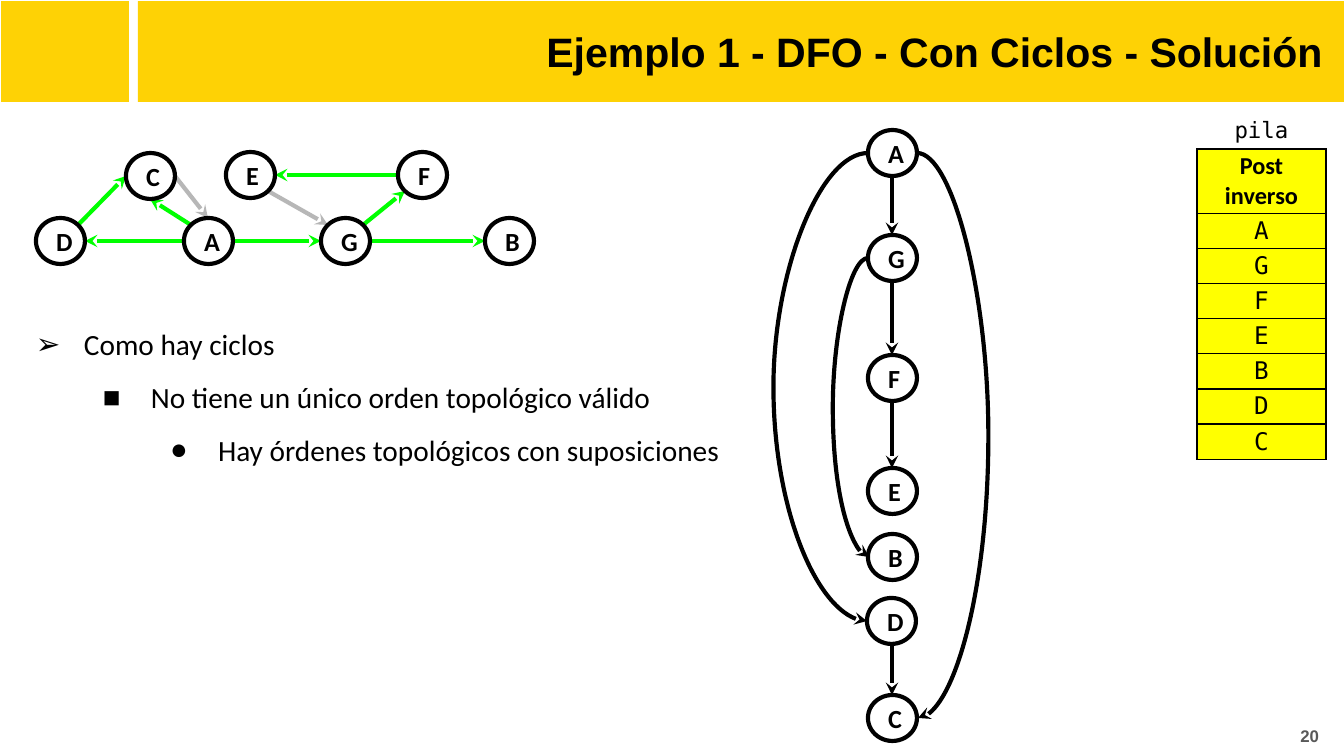
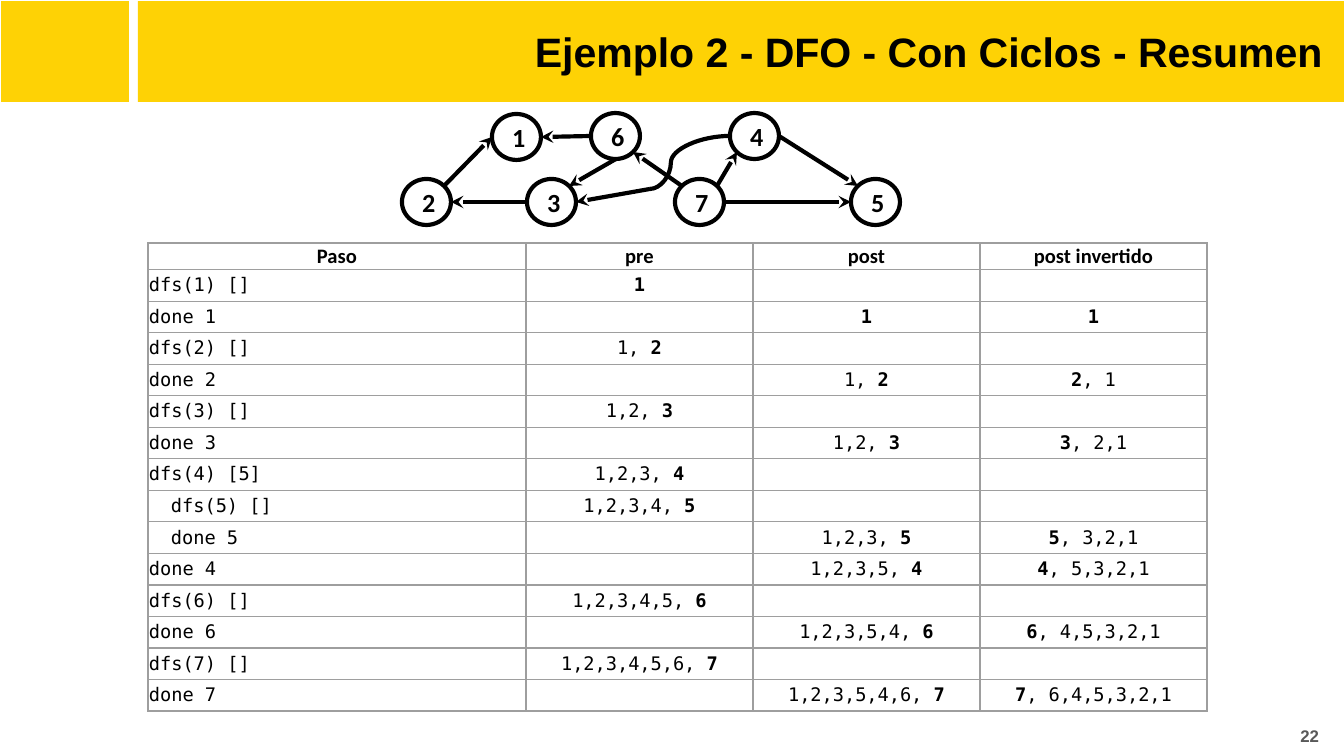
from lxml import etree
from pptx import Presentation
from pptx.dml.color import RGBColor
from pptx.enum.shapes import MSO_CONNECTOR, MSO_SHAPE
from pptx.enum.text import MSO_ANCHOR, PP_ALIGN
from pptx.oxml.ns import qn
from pptx.util import Pt

SCALE = 914400 / 134.4
WIDE, HIGH = 1344, 756
NODE_W, NODE_H = 49, 46
PAD = 13
STROKE = 2.25
LINE, CURVE = MSO_CONNECTOR.STRAIGHT, MSO_CONNECTOR.CURVE
OVAL, RECT = MSO_SHAPE.OVAL, MSO_SHAPE.RECTANGLE
TOP, MID = MSO_ANCHOR.TOP, MSO_ANCHOR.MIDDLE
LEFT, CENTER, RIGHT = PP_ALIGN.LEFT, PP_ALIGN.CENTER, PP_ALIGN.RIGHT
SANS, BODY, MONO = "Arial", "Calibri", "DejaVu Sans Mono"
COLORS = {
    "band": "FED205", "ink": "000000", "page": "595959", "tree": "00FF00",
    "back": "B7B7B7", "stack": "FFFF00", "rule": "9E9E9E",
}
SITES = {
    "t": (0, -1), "b": (0, 1), "l": (-1, 0), "r": (1, 0),
    "tl": (-0.71, -0.71), "tr": (0.71, -0.71),
    "bl": (-0.71, 0.71), "br": (0.71, 0.71),
}

GRAPH_1 = {
    "D": (36, 218), "E": (226, 152), "G": (321, 218), "B": (485, 218),
    "F": (398, 152), "C": (126, 153), "A": (184, 218),
}
EDGES_1 = [
    ("F", "l", "E", "r", "tree"), ("C", "r", "A", "t", "back"),
    ("A", "tl", "C", "b", "tree"), ("E", "br", "G", "tl", "back"),
    ("A", "l", "D", "r", "tree"), ("A", "r", "G", "l", "tree"),
    ("D", "tr", "C", "l", "tree"), ("G", "r", "B", "l", "tree"),
    ("G", "tr", "F", "bl", "tree"),
]
ORDER = {
    "A": (868, 130), "G": (868, 235), "F": (868, 355), "E": (868, 468),
    "B": (868, 534), "D": (867, 598), "C": (868, 695),
}
DOWN = [(a, "b", b, "t", "ink") for a, b in ("AG", "GF", "FE", "DC")]
ARCS = [("A", "r", "C", 988), ("A", "l", "D", 774), ("G", "l", "B", 833)]
POINTS = [
    ("➢", "Como hay ciclos"),
    ("■", "No tiene un único orden topológico válido"),
    ("●", "Hay órdenes topológicos con suposiciones"),
]
GRAPH_2 = {
    "2": (402, 179), "6": (591, 113), "7": (675, 179), "5": (851, 179),
    "4": (730, 113), "1": (492, 114), "3": (527, 179),
}
EDGES_2 = [
    ("6", "l", "1", "r", "ink"), ("6", "b", "3", "tr", "ink"),
    ("7", "tl", "6", "br", "ink"), ("3", "l", "2", "r", "ink"),
    ("2", "tr", "1", "l", "ink"), ("4", "r", "5", "tl", "ink"),
    ("7", "tr", "4", "bl", "ink"), ("7", "r", "5", "l", "ink"),
]
HEADS = ["Paso", "pre", "post", "post invertido"]
STEPS = [
    "dfs(1) []", "done 1", "dfs(2) []", "done 2", "dfs(3) []", "done 3",
    "dfs(4) [5]", "dfs(5) []", "done 5", "done 4", "dfs(6) []", "done 6",
    "dfs(7) []", "done 7",
]


def px(n):
    """Turn pixels into EMU."""
    return round(n * SCALE)


def rgb(name):
    """Return a named colour."""
    return RGBColor.from_string(COLORS[name])


def style(para, size, font, bold=False, color="ink", align=LEFT):
    """Format a paragraph and all its runs."""
    para.alignment = align
    for run in para.runs:
        run.font.size, run.font.name, run.font.bold = Pt(size), font, bold
        run.font.color.rgb = rgb(color)


def inset(frame, pad, anchor):
    """Set the padding, anchor and wrap of a text frame."""
    frame.margin_left = frame.margin_right = px(pad)
    frame.margin_top = frame.margin_bottom = px(pad)
    frame.vertical_anchor = anchor
    frame.word_wrap = True


def label(slide, box, text="", anchor=MID, **look):
    """Add a text box and return its frame."""
    frame = slide.shapes.add_textbox(*map(px, box)).text_frame
    inset(frame, PAD, anchor)
    if text:
        frame.text = text
        style(frame.paragraphs[0], **look)
    return frame


def band(slide, box):
    """Add a plain yellow block."""
    shape = slide.shapes.add_shape(RECT, *map(px, box))
    shape.shadow.inherit = False
    shape.fill.solid()
    shape.fill.fore_color.rgb = rgb("band")
    shape.line.fill.background()


def page(deck, title, num):
    """Add a slide with its bands, title and number."""
    slide = deck.slides.add_slide(deck.slide_layouts[6])
    band(slide, (138, 1, 1206, 101))
    band(slide, (1, 1, 128, 101))
    label(slide, (145, 9, 1191, 85), title,
          size=22, font=SANS, bold=True, align=RIGHT)
    label(slide, (1273, 707, 59, 58), num,
          size=9, font=SANS, bold=True, color="page", align=RIGHT)
    return slide


def node(slide, name, spot):
    """Add one ringed graph node."""
    shape = slide.shapes.add_shape(
        OVAL, *map(px, (*spot, NODE_W, NODE_H)))
    shape.shadow.inherit = False
    shape.fill.background()
    shape.line.color.rgb = rgb("ink")
    shape.line.width = Pt(STROKE)
    inset(shape.text_frame, PAD, MID)
    shape.text_frame.text = name
    style(shape.text_frame.paragraphs[0], 14, BODY, True, align=CENTER)


def site(spot, side):
    """Find a point on the rim of a node."""
    dx, dy = SITES[side]
    return (round(spot[0] + NODE_W * (1 + dx) / 2),
            round(spot[1] + NODE_H * (1 + dy) / 2))


def link(slide, start, end, color="ink", kind=LINE, arrow=True):
    """Add a connector between two points."""
    wire = slide.shapes.add_connector(kind, *map(px, (*start, *end)))
    wire.line.color.rgb = rgb(color)
    wire.line.width = Pt(STROKE)
    if arrow:
        etree.SubElement(wire.line._ln, qn("a:tailEnd"), type="stealth")
    etree.SubElement(wire._element.spPr, qn("a:effectLst"))
    return wire


def curve(slide, start, end, via, arrow=True):
    """Add a curved connector that bends through the x value via."""
    if start[0] == end[0]:
        end = (end[0] + 1, end[1])
    wire = link(slide, start, end, kind=CURVE, arrow=arrow)
    ratio = (via - start[0]) / (end[0] - start[0])
    geom = wire._element.spPr.find(qn("a:prstGeom"))
    guides = geom.find(qn("a:avLst"))
    if guides is None:
        guides = etree.SubElement(geom, qn("a:avLst"))
    etree.SubElement(guides, qn("a:gd"), name="adj1",
                     fmla=f"val {round(ratio * 100000)}")


def graph(slide, nodes, edges):
    """Draw the edges and nodes of a graph."""
    for a, out, b, into, color in edges:
        link(slide, site(nodes[a], out), site(nodes[b], into), color)
    for name, spot in nodes.items():
        node(slide, name, spot)


def border(cell, color, sides="LRTB"):
    """Rule the given sides of a cell and clear the others."""
    props = cell._tc.get_or_add_tcPr()
    for side in "LRTB":
        edge = etree.SubElement(props, qn(f"a:ln{side}"), w=str(Pt(0.75)))
        if side in sides:
            fill = etree.SubElement(edge, qn("a:solidFill"))
            etree.SubElement(fill, qn("a:srgbClr"), val=COLORS[color])
        else:
            etree.SubElement(edge, qn("a:noFill"))


def grid(slide, spot, cols, rows):
    """Add an unstyled table with the given widths and heights."""
    table = slide.shapes.add_table(
        len(rows), len(cols), *map(px, (*spot, sum(cols), sum(rows)))).table
    table.first_row = table.horz_banding = False
    for col, wide in zip(table.columns, cols):
        col.width = px(wide)
    for row, high in zip(table.rows, rows):
        row.height = px(high)
    return table


def fill(cell, text, pad, rule, sides="LRTB", back=None, anchor=MID, **look):
    """Fill a cell; text between stars is bold."""
    border(cell, rule, sides)
    if back:
        cell.fill.solid()
        cell.fill.fore_color.rgb = rgb(back)
    else:
        cell.fill.background()
    cell.margin_left = cell.margin_right = px(pad[0])
    cell.margin_top = cell.margin_bottom = px(pad[1])
    cell.vertical_anchor = anchor
    para = cell.text_frame.paragraphs[0]
    parts = [(i % 2 == 1, t) for i, t in enumerate(text.split("*")) if t]
    for _, part in parts:
        para.add_run().text = part
    style(para, **look)
    for run, (bold, _) in zip(para.runs, parts):
        run.font.bold = bold
    if not parts:
        etree.SubElement(para._p, qn("a:endParaRPr"),
                         sz=str(look["size"] * 100))


def stack(slide):
    """Add the stack of nodes in reverse postorder."""
    texts = ["pila", "*Post inverso*", *"AGFEBDC"]
    table = grid(slide, (1197, 115), [129], [34] * len(texts))
    for i, text in enumerate(texts):
        fill(table.cell(i, 0), text, (8, 3), "ink",
             sides="LRTB" if i else "B", back="stack" if i else None,
             anchor=MID if i else TOP, size=13 if i else 12,
             font=BODY if i == 1 else MONO, align=CENTER)


def bullets(slide, box):
    """Add the list, one level deeper on each line."""
    frame = label(slide, box, anchor=TOP)
    frame.text = "\n".join(text for _, text in POINTS)
    for i, (mark, _) in enumerate(POINTS):
        para = frame.paragraphs[i]
        style(para, 15.7, BODY)
        para.level = i
        para.line_spacing = 1.5
        props = para._p.get_or_add_pPr()
        props.set("marL", str(px(67 * (i + 1))))
        props.set("indent", str(px(-48)))
        etree.SubElement(props, qn("a:buFont"), typeface=SANS)
        etree.SubElement(props, qn("a:buChar"), char=mark)


def trace():
    """Work out the four texts of each search step."""
    pre, post, rows = [], [], []
    for step in STEPS:
        if step.startswith("dfs"):
            pre.append(step[4])
            rows.append([step, ", ".join(
                filter(None, [",".join(pre[:-1]), f"*{pre[-1]}*"])), "", ""])
        else:
            post.append(step[-1])
            old, last = post[:-1], f"*{post[-1]}*"
            rows.append([
                step, "",
                ", ".join(filter(None, [",".join(old), last])),
                ", ".join(filter(None, [last, ",".join(old[::-1])]))])
    return rows


def log(slide):
    """Add the table of search steps."""
    rows = trace()
    table = grid(slide, (148, 243), [378, 227, 227, 227],
                 [24] + [442 / len(rows)] * len(rows))
    for j, head in enumerate(HEADS):
        fill(table.cell(0, j), f"*{head}*", (1, 1), "rule", anchor=TOP,
             size=11, font=BODY, align=CENTER)
    for i, row in enumerate(rows, 1):
        for j, text in enumerate(row):
            fill(table.cell(i, j), text, (1, 1), "rule", size=10,
                 font=MONO, align=CENTER if j else LEFT)
        if "5" in row[0].split("[")[0]:
            table.cell(i, 0).margin_left = px(23)


def main():
    """Build and save both slides."""
    deck = Presentation()
    deck.slide_width, deck.slide_height = px(WIDE), px(HIGH)

    slide = page(deck, "Ejemplo 1 - DFO - Con Ciclos - Solución", "20")
    stack(slide)
    graph(slide, ORDER, DOWN)
    for a, side, b, via in ARCS:
        curve(slide, site(ORDER[a], side), site(ORDER[b], side), via)
    graph(slide, GRAPH_1, EDGES_1)
    bullets(slide, (4, 296, 770, 169))

    slide = page(deck, "Ejemplo 2 - DFO - Con Ciclos - Resumen", "22")
    graph(slide, GRAPH_2, EDGES_2)
    log(slide)
    bend = (650, 189)
    curve(slide, site(GRAPH_2["4"], "l"), bend, 671, arrow=False)
    link(slide, bend, site(GRAPH_2["3"], "r"))

    deck.save("out.pptx")


if __name__ == "__main__":
    main()
